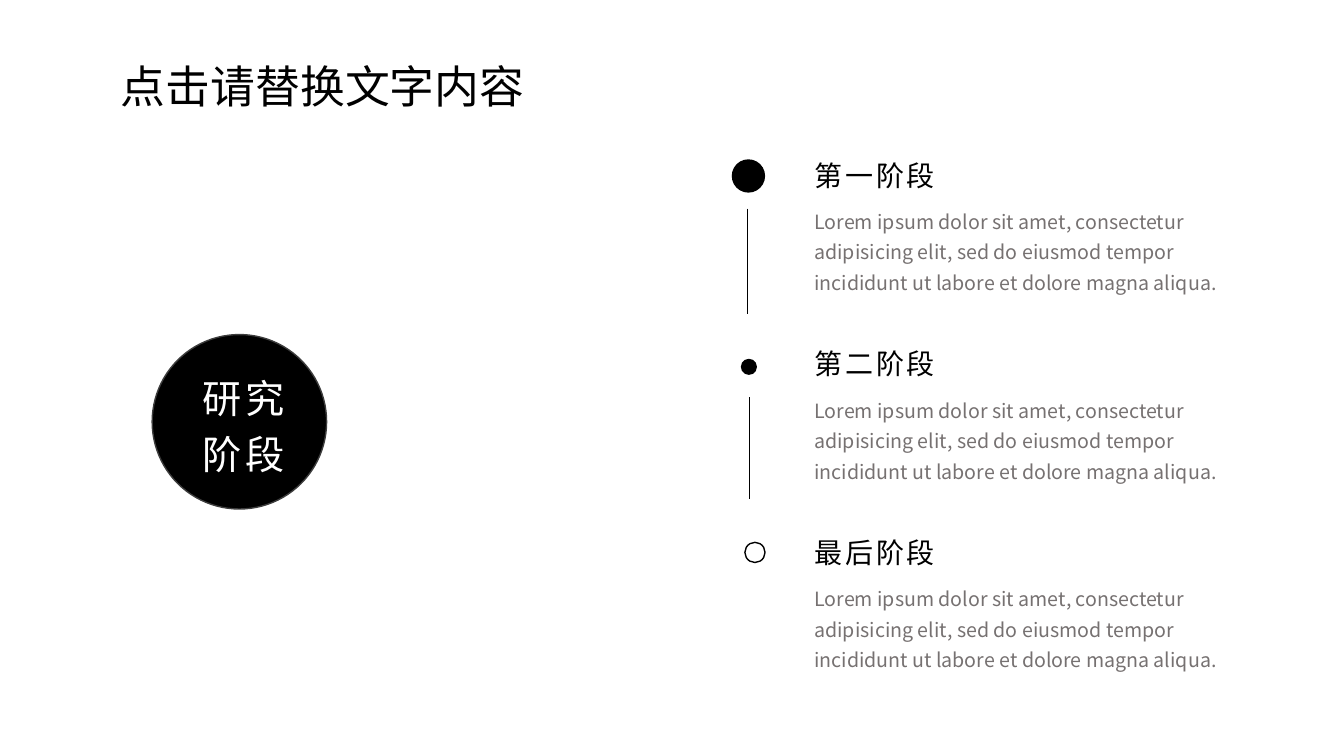
import pptx
import pptx.util
import pptx.dml.color
import pptx.enum.shapes
import pptx.enum.text
import pptx.oxml.ns
import lxml.etree

Pt = pptx.util.Pt
RGB = pptx.dml.color.RGBColor
SHAPE = pptx.enum.shapes.MSO_SHAPE
ALIGN = pptx.enum.text.PP_ALIGN
ANCHOR = pptx.enum.text.MSO_ANCHOR
qn = pptx.oxml.ns.qn

BLACK = RGB(0x00, 0x00, 0x00)
WHITE = RGB(0xFF, 0xFF, 0xFF)
GREY = RGB(0x76, 0x71, 0x71)
EDGE = RGB(0x3D, 0x3D, 0x3D)
FONT = "Noto Sans CJK SC"
LOREM = ("Lorem ipsum dolor sit amet, consectetur adipisicing elit, "
         "sed do eiusmod tempor incididunt ut labore et dolore magna aliqua.")


def write(box, text, size, color=BLACK, gap=0, lead=1.0,
          align=ALIGN.LEFT, anchor=ANCHOR.TOP, wrap=True):
    """Fill a text shape; gap is the letter spacing in points."""
    frame = box.text_frame
    frame.text = text
    frame.word_wrap = wrap
    frame.vertical_anchor = anchor
    frame.auto_size = pptx.enum.text.MSO_AUTO_SIZE.NONE
    for para in frame.paragraphs:
        para.alignment = align
        para.line_spacing = lead
        for run in para.runs:
            run.font.size = Pt(size)
            run.font.name = FONT
            run.font.color.rgb = color
            props = run.font._element
            if gap:
                props.set("spc", str(gap * 100))
            lxml.etree.SubElement(props, qn("a:ea")).set("typeface", FONT)


def disc(left, top, size, fill=None, line=None):
    """Draw a circle, filled or hollow."""
    oval = slide.shapes.add_shape(SHAPE.OVAL, Pt(left), Pt(top), Pt(size), Pt(size))
    oval.shadow.inherit = False
    if fill is None:
        oval.fill.background()
    else:
        oval.fill.solid()
        oval.fill.fore_color.rgb = fill
    if line is None:
        oval.line.fill.background()
    else:
        oval.line.color.rgb = line
        oval.line.width = Pt(1)


deck = pptx.Presentation()
deck.slide_width, deck.slide_height = Pt(960), Pt(540)
slide = deck.slides.add_slide(deck.slide_layouts[5])

# Title
title = slide.shapes.title
title.left, title.top, title.width, title.height = Pt(79.2), Pt(38.2), Pt(305.3), Pt(46)
write(title, "点击请替换文字内容", 32, wrap=False)

# Topic circle with its label
disc(108.7, 239, 124.6, fill=BLACK, line=EDGE)
label = slide.shapes.add_textbox(Pt(105.1), Pt(232.6), Pt(138.2), Pt(136.8))
write(label, "研究\n阶段", 28, color=WHITE, gap=3, lead=1.2,
      align=ALIGN.CENTER, anchor=ANCHOR.MIDDLE)

# Stage headings and texts
for row, name in enumerate(["第一阶段", "第二阶段", "最后阶段"]):
    top = 109.4 + row * 134.7
    head = slide.shapes.add_textbox(Pt(574.6), Pt(top), Pt(156.2), Pt(31.7))
    write(head, name, 20, gap=2)
    body = slide.shapes.add_textbox(Pt(574.6), Pt(top + 31.9), Pt(324), Pt(71.3))
    write(body, LOREM, 14, color=GREY, lead=1.3)

# Stage markers
disc(522.7, 113.8, 23.8, fill=BLACK)
disc(529.2, 256.3, 11.5, fill=BLACK)
disc(532.1, 387.4, 14.4, line=BLACK)

# Lines between the markers
for x, top, end in [(533.5, 149, 224.6), (535, 283.7, 356.4)]:
    stem = slide.shapes.add_connector(
        pptx.enum.shapes.MSO_CONNECTOR.STRAIGHT, Pt(x), Pt(top), Pt(x), Pt(end))
    stem.line.color.rgb = BLACK
    stem.line.width = Pt(0.25)
    lxml.etree.SubElement(stem._element.spPr, qn("a:effectLst"))

deck.save("out.pptx")
